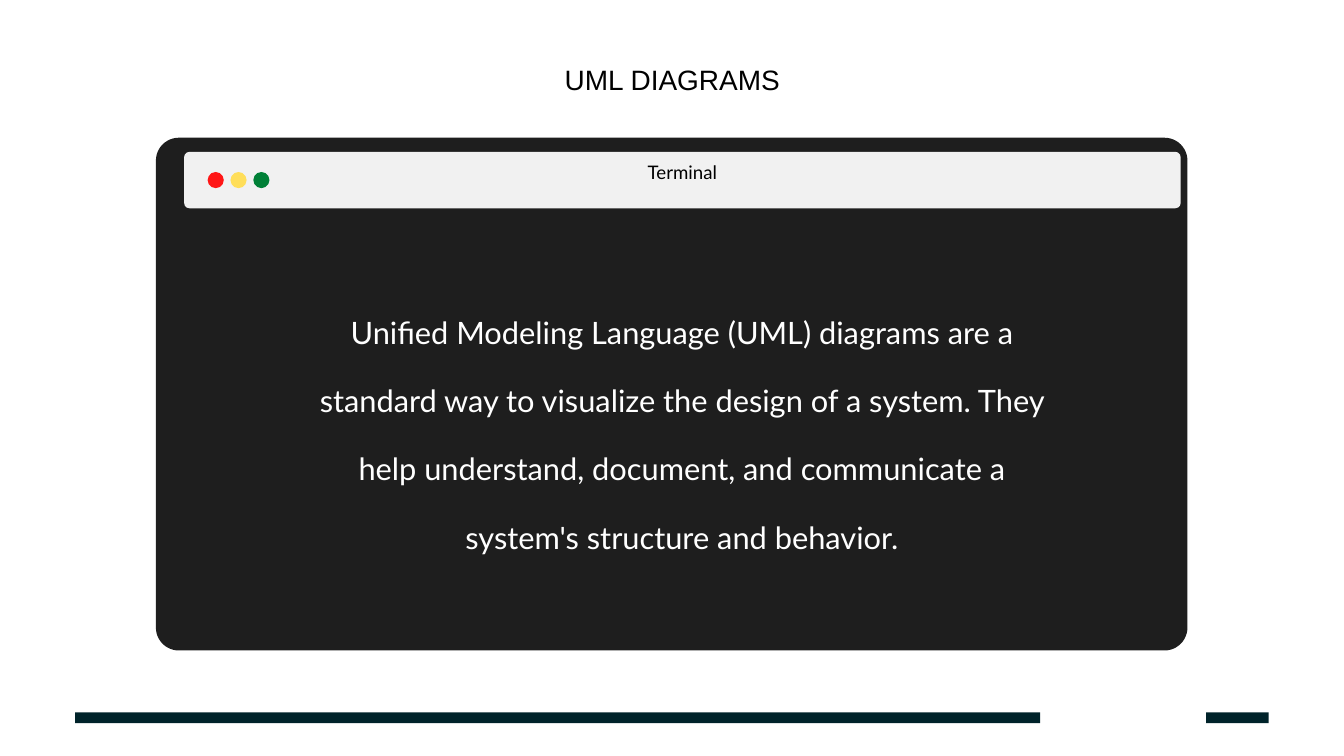
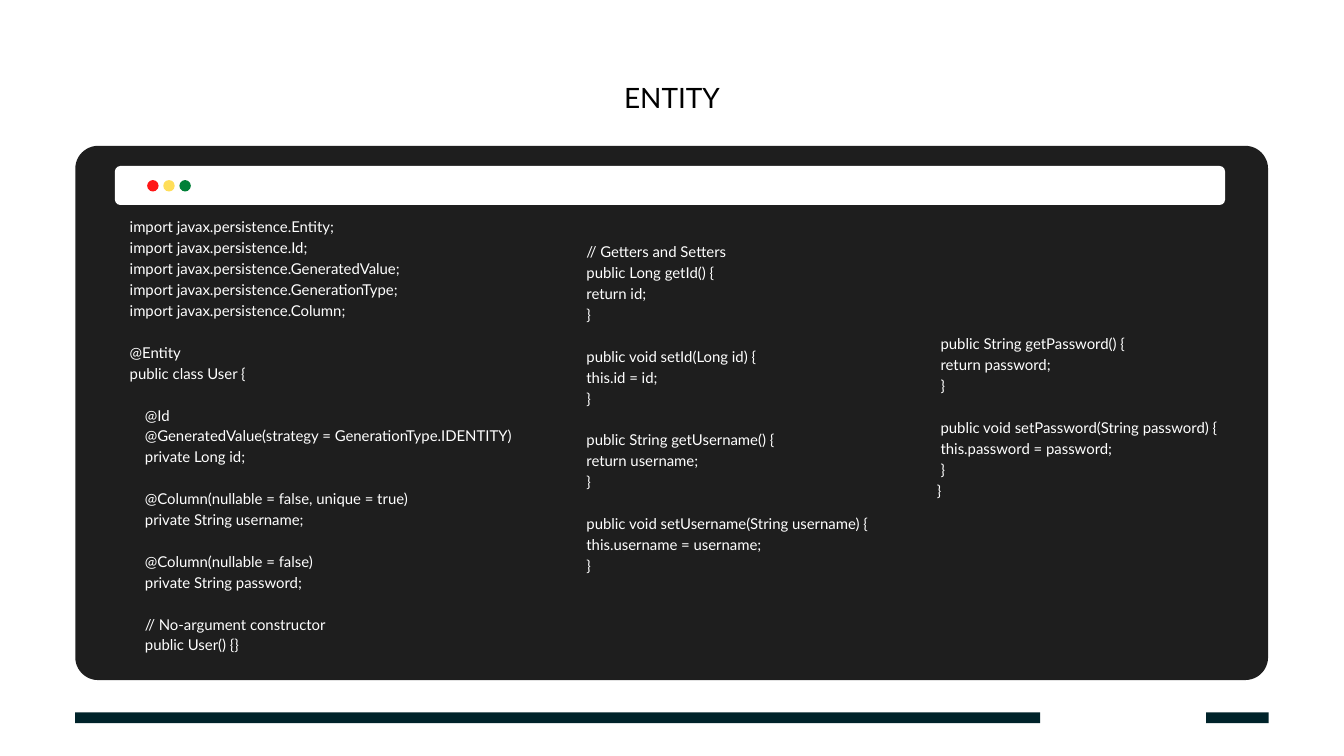
from pptx import Presentation
from pptx.dml.color import RGBColor
from pptx.enum.shapes import MSO_SHAPE
from pptx.enum.text import MSO_ANCHOR, PP_ALIGN
from pptx.util import Inches, Pt

RECTANGLE = MSO_SHAPE.RECTANGLE
ROUNDED = MSO_SHAPE.ROUNDED_RECTANGLE
OVAL = MSO_SHAPE.OVAL
LEFT, CENTER = PP_ALIGN.LEFT, PP_ALIGN.CENTER
TOP, MIDDLE = MSO_ANCHOR.TOP, MSO_ANCHOR.MIDDLE

BLACK, WHITE = "000000", "FFFFFF"
PANEL, TITLE_BAR, FOOTER = "1E1E1E", "F1F1F1", "00232A"
LIGHTS = ("FF1616", "FFDE59", "008037")
FONT = "Lato"
PANEL_RADIUS, BAR_RADIUS = 0.34, 0.08
CODE_LEADING = 22.4

DEFINITION = (
    "Unified Modeling Language (UML) diagrams are a standard way to visualize "
    "the design of a system. They help understand, document, and communicate "
    "a system's structure and behavior."
)

ENTITY_FIELDS = """\
import javax.persistence.Entity;
import javax.persistence.Id;
import javax.persistence.GeneratedValue;
import javax.persistence.GenerationType;
import javax.persistence.Column;

@Entity
public class User {

    @Id
    @GeneratedValue(strategy = GenerationType.IDENTITY)
    private Long id;

    @Column(nullable = false, unique = true)
    private String username;

    @Column(nullable = false)
    private String password;

    // No-argument constructor
    public User() {}"""

ID_AND_USERNAME_ACCESSORS = """\
 // Getters and Setters
 public Long getId() {
 return id;
 }

 public void setId(Long id) {
 this.id = id;
 }

 public String getUsername() {
 return username;
 }

 public void setUsername(String username) {
 this.username = username;
 }"""

PASSWORD_ACCESSORS = """\
 public String getPassword() {
 return password;
 }

 public void setPassword(String password) {
 this.password = password;
 }
}"""


def color(hex_value):
    """Turn a hex string into a colour."""
    return RGBColor.from_string(hex_value)


def add_box(slide, kind, box, fill, radius=None):
    """Add a filled shape without outline or shadow."""
    shape = slide.shapes.add_shape(kind, *map(Inches, box))
    shape.shadow.inherit = False
    shape.fill.solid()
    shape.fill.fore_color.rgb = color(fill)
    shape.line.fill.background()
    if radius is not None:
        shape.adjustments[0] = radius / min(box[2:])
    return shape


def add_text(slide, text, box, size, leading, font=FONT, fill=BLACK,
             align=LEFT, anchor=TOP, inset=0):
    """Add text with a paragraph per line and a gap of one line between blocks."""
    frame = slide.shapes.add_textbox(*map(Inches, box)).text_frame
    frame.word_wrap = True
    frame.vertical_anchor = anchor
    frame.margin_left = frame.margin_right = Inches(inset)
    frame.margin_top = frame.margin_bottom = Inches(inset)
    paragraph = None
    for block in text.split("\n\n"):
        for index, line in enumerate(block.split("\n")):
            starts_later_block = paragraph is not None and index == 0
            paragraph = frame.paragraphs[0] if paragraph is None else frame.add_paragraph()
            paragraph.alignment = align
            paragraph.line_spacing = Pt(leading)
            if starts_later_block:
                paragraph.space_before = Pt(leading)
            run = paragraph.add_run()
            run.text = line
            run.font.name = font
            run.font.size = Pt(size)
            run.font.color.rgb = color(fill)


def add_title(slide, text, box, font=FONT):
    """Add the centred slide title."""
    add_text(slide, text, box, 30, 60, font=font, align=CENTER)


def add_footer(slide):
    """Add the long and the short footer band."""
    for left, width in ((1.12, 14.36), (17.95, 0.93)):
        add_box(slide, RECTANGLE, (left, 10.6, width, 0.16), FOOTER)


def add_window(slide, panel, bar, bar_fill, first_light, diameter, pitch):
    """Add a dark window with its title bar and three lights."""
    add_box(slide, ROUNDED, panel, PANEL, PANEL_RADIUS)
    add_box(slide, ROUNDED, bar, bar_fill, BAR_RADIUS)
    left, top = first_light
    for index, fill in enumerate(LIGHTS):
        add_box(slide, OVAL, (left + index * pitch, top, diameter, diameter), fill)


def add_code(slide, code, box):
    """Add a column of code."""
    add_text(slide, code, box, 16, CODE_LEADING, fill=WHITE)


def build_definition_slide(slide):
    """Build the slide that explains UML diagrams."""
    add_title(slide, "UML DIAGRAMS", (3.75, 0.6, 12.51, 0.77), font="Arial")
    add_window(slide, (2.32, 2.05, 15.35, 7.63), (2.74, 2.26, 14.83, 0.84),
               TITLE_BAR, (3.09, 2.56), 0.24, 0.34)
    add_text(slide, "Terminal", (2.74, 1.95, 14.83, 1.15), 20, 28,
             align=CENTER, anchor=MIDDLE, inset=0.06)
    add_text(slide, DEFINITION, (4.5, 4.2, 11.3, 3.93), 33, 73.2,
             fill=WHITE, align=CENTER)
    add_footer(slide)


def build_entity_slide(slide):
    """Build the slide with the entity class in three columns."""
    add_title(slide, "ENTITY", (6.58, 0.87, 6.84, 0.75))
    add_footer(slide)
    add_window(slide, (1.12, 2.17, 17.75, 7.95), (1.71, 2.47, 16.52, 0.58),
               WHITE, (2.19, 2.68), 0.17, 0.24)
    add_code(slide, ENTITY_FIELDS, (1.93, 3.2, 6.22, 6.63))
    add_code(slide, ID_AND_USERNAME_ACCESSORS, (8.67, 3.57, 4.75, 5.12))
    add_code(slide, PASSWORD_ACCESSORS, (13.94, 4.94, 4.68, 2.7))


def main():
    """Build and save the presentation."""
    presentation = Presentation()
    presentation.slide_width = Inches(20)
    presentation.slide_height = Inches(11.25)
    blank = presentation.slide_layouts[6]
    for build in (build_definition_slide, build_entity_slide):
        slide = presentation.slides.add_slide(blank)
        slide.background.fill.solid()
        slide.background.fill.fore_color.rgb = color(WHITE)
        build(slide)
    presentation.save("out.pptx")


if __name__ == "__main__":
    main()
